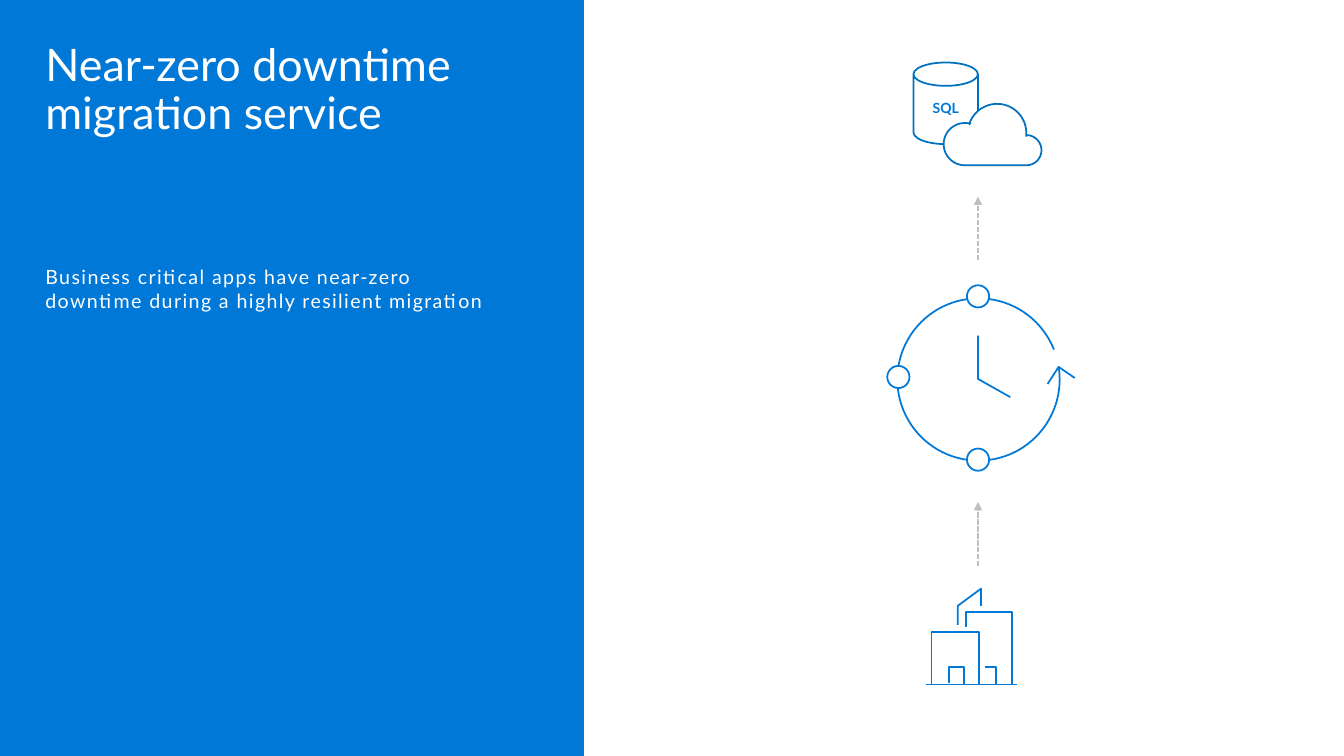
import math

import pptx
import pptx.util
import pptx.dml.color
import pptx.enum.dml
import pptx.enum.shapes
import pptx.enum.text
import pptx.oxml.ns
from lxml import etree
from pptx.util import Inches, Pt

COLORS = {"blue": "0078D7", "deep_blue": "0070C0", "gray": "BFBFBF", "white": "FFFFFF"}
SHAPES = pptx.enum.shapes.MSO_SHAPE
ANCHORS = pptx.enum.text.MSO_ANCHOR
ALIGN = pptx.enum.text.PP_ALIGN
qn = pptx.oxml.ns.qn
rgb = {name: pptx.dml.color.RGBColor.from_string(value) for name, value in COLORS.items()}

presentation = pptx.Presentation()
presentation.slide_width = Inches(13.33)
presentation.slide_height = Inches(7.5)
slide = presentation.slides.add_slide(presentation.slide_layouts[5])
shapes = slide.shapes


def style(shape, fill=None, line=None):
    shape.shadow.inherit = False
    if fill:
        shape.fill.solid()
        shape.fill.fore_color.rgb = rgb[fill]
    else:
        shape.fill.background()
    if line:
        shape.line.color.rgb = rgb[line]
        shape.line.width = Pt(1.25)
    else:
        shape.line.fill.background()
    return shape


def draw_strokes(strokes, fill=None, line="blue", close=False):
    paths = [[(Inches(x), Inches(y)) for x, y in stroke] for stroke in strokes]
    builder = shapes.build_freeform(*paths[0][0])
    for number, path in enumerate(paths):
        if number:
            builder.move_to(*path[0])
        builder.add_line_segments(path[1:], close=close)
    return style(builder.convert_to_shape(), fill, line)


panel = style(shapes.add_shape(SHAPES.RECTANGLE, 0, 0, Inches(5.79), Inches(7.5)), "blue")
shapes._spTree.insert(2, panel._element)

title = shapes.title
title.left, title.top, title.width, title.height = [Inches(n) for n in (0.29, 0.32, 5.16, 1.14)]
title.text_frame.text = "Near-zero downtime migration service"
title.text_frame.paragraphs[0].line_spacing = 0.9

summary = shapes.add_textbox(Inches(0.29), Inches(2.53), Inches(4.97), Inches(4.43))
summary.text_frame.text = "Business critical apps have near-zero downtime during a highly resilient migration"
summary.text_frame.paragraphs[0].space_before = Pt(2)
summary.text_frame.paragraphs[0].space_after = Pt(12)

database = shapes.add_shape(SHAPES.CAN, Inches(9.06), Inches(0.62), Inches(0.64), Inches(0.81))
database.adjustments[0] = 0.362
style(database, line="deep_blue")
database.text_frame.text = "SQL"
database.text_frame.paragraphs[0].line_spacing = 0.9

for holder, inset, anchor, align, size, color, bold in (
    (title, 0.16, ANCHORS.TOP, ALIGN.LEFT, 32, "white", False),
    (summary, 0.16, ANCHORS.TOP, ALIGN.LEFT, 14, "white", False),
    (database, 0.1, ANCHORS.MIDDLE, ALIGN.CENTER, 10, "blue", True),
):
    frame = holder.text_frame
    frame.word_wrap = True
    frame.auto_size = pptx.enum.text.MSO_AUTO_SIZE.NONE
    frame.vertical_anchor = anchor
    frame.margin_left = frame.margin_right = Inches(inset)
    frame.margin_top = frame.margin_bottom = Inches(0.1)
    paragraph = frame.paragraphs[0]
    paragraph.alignment = align
    font = paragraph.runs[0].font
    font.name = "Lato"
    font.size = Pt(size)
    font.bold = bold
    font.color.rgb = rgb[color]
summary.text_frame.paragraphs[0].runs[0].font._element.set("spc", "100")

cloud_lobes = [
    (9.57, 1.43, 0.21, 90, 285),
    (9.89, 1.32, 0.29, 198, 366),
    (10.18, 1.49, 0.15, 270, 450),
]
cloud_outline = []
for center_x, center_y, radius, start, end in cloud_lobes:
    for step in range(25):
        angle = math.radians(start + (end - start) * step / 24)
        cloud_outline.append((center_x + radius * math.cos(angle), center_y + radius * math.sin(angle)))
draw_strokes([cloud_outline], "white", "deep_blue", close=True)

for arrow_start, arrow_end in ((5.62, 4.98), (2.58, 1.95)):
    arrow = shapes.add_connector(
        pptx.enum.shapes.MSO_CONNECTOR.STRAIGHT,
        Inches(9.7), Inches(arrow_start), Inches(9.7), Inches(arrow_end),
    )
    arrow.line.color.rgb = rgb["gray"]
    arrow.line.width = Pt(1.25)
    arrow.line.dash_style = pptx.enum.dml.MSO_LINE.SQUARE_DOT
    etree.SubElement(arrow.line._get_or_add_ln(), qn("a:tailEnd"), type="triangle")
    etree.SubElement(arrow._element.spPr, qn("a:effectLst"))

draw_strokes([
    [(10.09, 6.79), (9.18, 6.79)],
    [(9.71, 6.79), (9.71, 6.27), (9.24, 6.27), (9.24, 6.79)],
    [(10.04, 6.79), (10.04, 6.07), (9.58, 6.07), (9.58, 6.22)],
    [(9.73, 6.01), (9.73, 5.84), (9.5, 6.01), (9.5, 6.2)],
    [(9.88, 6.79), (9.88, 6.62), (9.77, 6.62)],
    [(9.56, 6.79), (9.56, 6.62), (9.41, 6.62), (9.41, 6.78)],
])

draw_strokes([[(9.7, 3.33), (9.7, 3.76), (10.02, 3.94)]])
style(shapes.add_shape(SHAPES.OVAL, Inches(8.9), Inches(2.96), Inches(1.61), Inches(1.61)), line="blue")
dial_gap = style(
    shapes.add_shape(SHAPES.RECTANGLE, Inches(10.39), Inches(3.46), Inches(0.22), Inches(0.19)), "white"
)
dial_gap.rotation = 344
draw_strokes([[(10.39, 3.81), (10.5, 3.64), (10.66, 3.75)]])

for marker_left, marker_top in ((9.59, 2.83), (8.8, 3.63), (9.59, 4.45)):
    marker = shapes.add_shape(
        SHAPES.OVAL, Inches(marker_left), Inches(marker_top), Inches(0.22), Inches(0.22)
    )
    style(marker, "white", "blue")

presentation.save("out.pptx")
